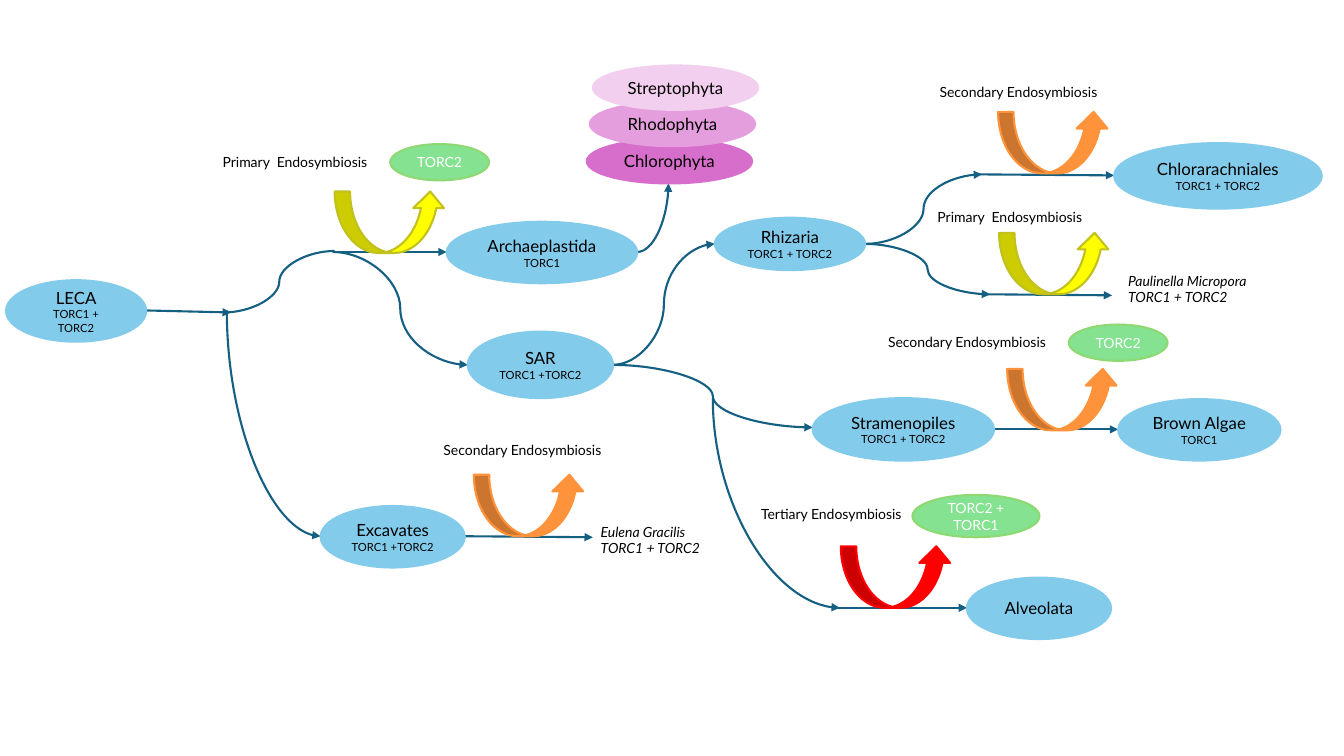
"""Draw the evolution of TORC complexes from LECA through endosymbiosis events."""
from pptx import Presentation
from pptx.dml.color import RGBColor
from pptx.enum.shapes import MSO_CONNECTOR, MSO_SHAPE
from pptx.enum.text import MSO_ANCHOR, MSO_AUTO_SIZE, PP_ALIGN
from pptx.oxml.ns import qn
from pptx.oxml.xmlchemy import OxmlElement
from pptx.util import Pt

ELLIPSE, SWOOSH = MSO_SHAPE.OVAL, MSO_SHAPE.CURVED_UP_ARROW
STRAIGHT, CURVE = MSO_CONNECTOR.STRAIGHT, MSO_CONNECTOR.CURVE
CENTER, MIDDLE = PP_ALIGN.CENTER, MSO_ANCHOR.MIDDLE
GROW = MSO_AUTO_SIZE.SHAPE_TO_FIT_TEXT

BLACK = RGBColor(0x00, 0x00, 0x00)
WHITE = RGBColor(0xFF, 0xFF, 0xFF)
TEAL = RGBColor(0x15, 0x60, 0x82)
SKY = RGBColor(0x83, 0xCB, 0xEB)
GREEN = RGBColor(0x84, 0xE2, 0x91)
LEAF = RGBColor(0x8E, 0xD9, 0x73)
ORCHID = RGBColor(0xD8, 0x6E, 0xCC)
PINK = RGBColor(0xE5, 0x9E, 0xDD)
BLUSH = RGBColor(0xF2, 0xCF, 0xEE)
YELLOW = RGBColor(0xFF, 0xFF, 0x00)
OLIVE = RGBColor(0xC2, 0xC1, 0x1E)
ORANGE = RGBColor(0xFF, 0x93, 0x3B)
RED = RGBColor(0xFF, 0x00, 0x00)

PX = 9144
LINE_WIDTH = Pt(1.5)

prs = Presentation()
prs.slide_width, prs.slide_height = 1333 * PX, 750 * PX
slide = prs.slides.add_slide(prs.slide_layouts[6])


def add_filled(preset, box, fill, outline):
    shape = slide.shapes.add_shape(preset, *(n * PX for n in box))
    shape.shadow.inherit = False
    shape.fill.solid()
    shape.fill.fore_color.rgb = fill
    shape.line.color.rgb = outline
    shape.line.width = LINE_WIDTH
    return shape


def write(frame, lines, sizes, color, italic=None, align=None):
    frame.text = "\n".join(lines)
    for paragraph, size in zip(frame.paragraphs, sizes):
        paragraph.alignment = align
        for run in paragraph.runs:
            run.font.name = "Lato"
            run.font.size = Pt(size)
            run.font.color.rgb = color
            run.font.italic = italic


branches = [
    ("straight", 145, 308, 229, 310, True),
    ("straight", 330, 250, 443, 250, True),
    ("straight", 986, 426, 1109, 426, True),
    ("straight", 460, 532, 588, 533, True),
    ("straight", 826, 603, 959, 603, True),
    ("straight", 979, 292, 1103, 293, True),
    ("straight", 970, 173, 1105, 174, True),
    ("wave", 222, 310, 332, 249, False),
    ("wave", 330, 250, 464, 362, True),
    ("wave", 608, 362, 709, 242, True),
    ("wave", 608, 362, 806, 424, True),
    ("wave", 858, 242, 974, 173, True),
    ("wave", 858, 242, 982, 292, True),
    ("rise", 632, 250, 663, 182, True),
    ("drop", 225, 308, 318, 532, True),
    ("drop", 707, 395, 833, 603, True),
]
for course, x1, y1, x2, y2, has_arrow in branches:
    ends = [x1, y1, x2, y2]
    if course == "drop":
        mid_x, mid_y = (x1 + x2) / 2, (y1 + y2) / 2
        half_w, half_h = (x2 - x1) / 2, (y2 - y1) / 2
        ends = [mid_x + half_h, mid_y - half_w, mid_x - half_h, mid_y + half_w]
    branch = slide.shapes.add_connector(
        STRAIGHT if course == "straight" else CURVE, *(int(n * PX) for n in ends))
    branch.line.color.rgb = TEAL
    branch.line.width = LINE_WIDTH
    properties = branch.element.spPr
    if course in ("rise", "drop"):
        properties.find(qn("a:prstGeom")).set("prst", "curvedConnector2")
    if course == "drop":
        properties.find(qn("a:xfrm")).set("rot", "16200000")
    if has_arrow:
        arrowhead = OxmlElement("a:tailEnd")
        arrowhead.set("type", "triangle")
        properties.find(qn("a:ln")).append(arrowhead)
    properties.append(OxmlElement("a:effectLst"))

taxa = [
    ((6, 278, 139, 61), SKY, ["LECA", "TORC1 + TORC2"]),
    ((464, 329, 144, 66), SKY, ["SAR", "TORC1 +TORC2"]),
    ((443, 220, 189, 61), SKY, ["Archaeplastida", "TORC1"]),
    ((318, 502, 143, 61), SKY, ["Excavates", "TORC1 +TORC2"]),
    ((582, 138, 164, 44), ORCHID, ["Chlorophyta"]),
    ((585, 101, 164, 44), PINK, ["Rhodophyta"]),
    ((588, 65, 164, 44), BLUSH, ["Streptophyta"]),
    ((1109, 396, 161, 61), SKY, ["Brown Algae", "TORC1"]),
    ((806, 395, 180, 62), SKY, ["Stramenopiles", "TORC1 + TORC2"]),
    ((959, 573, 143, 61), SKY, ["Alveolata"]),
    ((709, 216, 149, 52), SKY, ["Rhizaria", "TORC1 + TORC2"]),
    ((1105, 142, 206, 65), SKY, ["Chlorarachniales", "TORC1 + TORC2"]),
]
for box, fill, lines in taxa:
    taxon = add_filled(ELLIPSE, box, fill, fill)
    taxon.text_frame.vertical_anchor = MIDDLE
    write(taxon.text_frame, lines, (12, 8), BLACK, align=CENTER)

losses = [
    ((387, 143, 98, 36), "TORC2"),
    ((1060, 322, 98, 36), "TORC2"),
    ((905, 491, 126, 42), "TORC2 + TORC1"),
]
for box, complexes in losses:
    loss = add_filled(ELLIPSE, box, GREEN, LEAF)
    loss.text_frame.vertical_anchor = MIDDLE
    write(loss.text_frame, [complexes], (10,), WHITE, align=CENTER)

endosymbioses = [
    (332, 190, YELLOW, OLIVE),
    (999, 366, ORANGE, ORANGE),
    (470, 471, ORANGE, ORANGE),
    (834, 542, RED, RED),
    (991, 231, YELLOW, OLIVE),
    (990, 111, ORANGE, ORANGE),
]
for left, top, fill, outline in endosymbioses:
    swoosh = add_filled(SWOOSH, (left, top, 110, 61), fill, outline)
    for index, value in enumerate((0.25, 0.5, 0.27)):
        swoosh.adjustments[index] = value

labels = [
    ((211, 147, 206, 27), ["Primary  Endosymbiosis"], None),
    ((871, 326, 206, 27), ["Secondary Endosymbiosis"], None),
    ((430, 433, 189, 27), ["Secondary Endosymbiosis"], None),
    ((745, 497, 172, 27), ["Tertiary Endosymbiosis"], None),
    ((920, 202, 206, 27), ["Primary  Endosymbiosis"], None),
    ((922, 78, 206, 27), ["Secondary Endosymbiosis"], None),
    ((586, 514, 119, 44), ["Eulena Gracilis", "TORC1 + TORC2"], True),
    ((1109, 265, 149, 44), ["Paulinella Micropora", "TORC1 + TORC2"], True),
]
for box, lines, italic in labels:
    label = slide.shapes.add_textbox(*(n * PX for n in box)).text_frame
    label.word_wrap = True
    label.auto_size = GROW
    write(label, lines, (10, 10), BLACK, italic)

prs.save("out.pptx")
